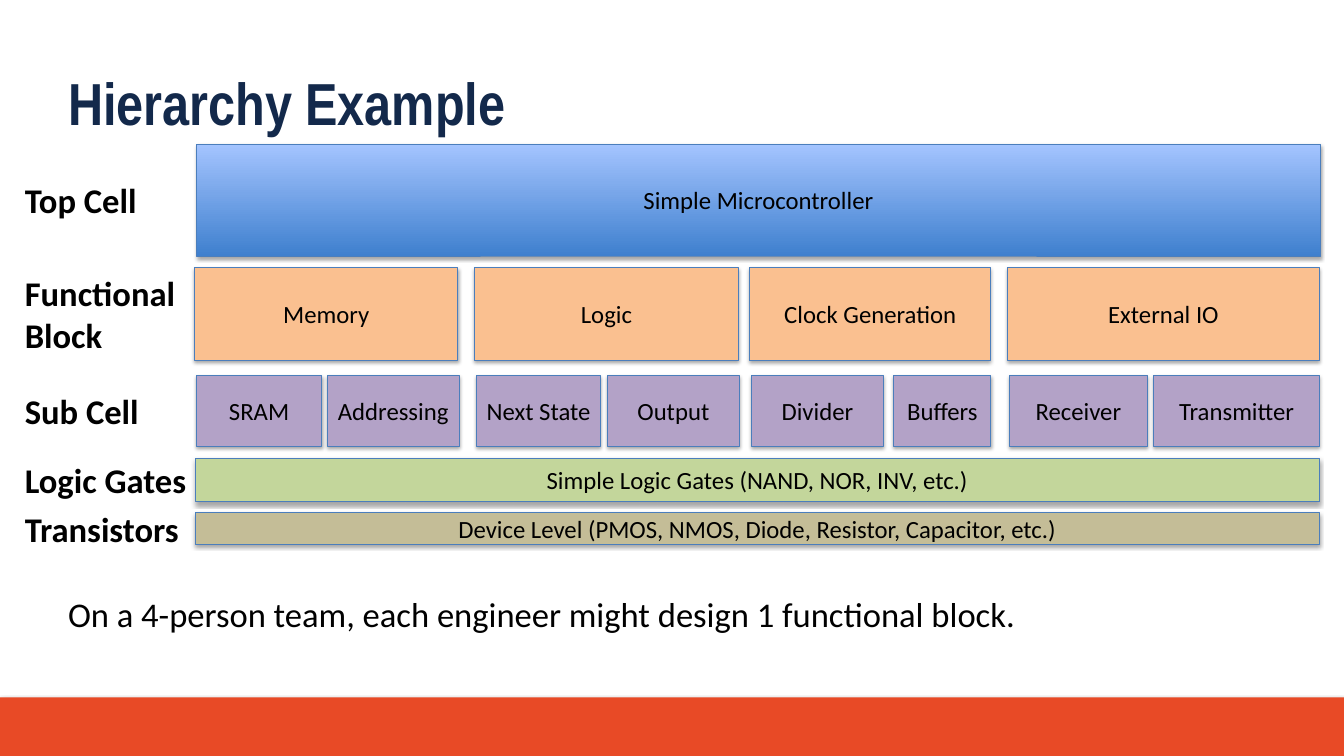
from lxml.etree import SubElement
from pptx import Presentation
from pptx.dml.color import RGBColor
from pptx.enum.shapes import MSO_SHAPE
from pptx.enum.text import MSO_ANCHOR, PP_ALIGN
from pptx.oxml.ns import qn
from pptx.util import Pt

TITLE = "Hierarchy Example"
NOTE = "On a 4-person team, each engineer might design 1 functional block."

LEVELS = [
    ("Top Cell", "top", 116.6, 90.7, [("Simple Microcontroller", 159, 910)]),
    ("Functional Block", "block", 216.7, 74.9, [
        ("Memory", 157.7, 213), ("Logic", 384.5, 213),
        ("Clock Generation", 607, 195), ("External IO", 815.8, 252)]),
    ("Sub Cell", "sub", 303.8, 57.6, [
        ("SRAM", 159, 101.5), ("Addressing", 265, 106.6),
        ("Next State", 385.9, 100.2), ("Output", 491.8, 106.6),
        ("Divider", 608.4, 106.6), ("Buffers", 723.6, 78.5),
        ("Receiver", 817.2, 111.6), ("Transmitter", 933.8, 134.6)]),
    ("Logic Gates", "gates", 370.8, 35.3,
     [("Simple Logic Gates (NAND, NOR, INV, etc.)", 158, 910)]),
    ("Transistors", "devices", 414.7, 25.9,
     [("Device Level (PMOS, NMOS, Diode, Resistor, Capacitor, etc.)", 158, 910)]),
]

THEME = {
    "fills": {
        "top": ("3F80CE", "A4C4FF"),
        "block": ("FAC090",),
        "sub": ("B3A2C7",),
        "gates": ("C3D69B",),
        "devices": ("C4BD97",),
        "footer": ("E84A26",),
    },
    "line": "4B7EBC",
    "title": {"name": "Arial Narrow", "size": Pt(48), "bold": True, "color": "13294B"},
    "label": {"name": "Calibri", "size": Pt(28), "bold": True, "color": "000000"},
    "note": {"name": "Calibri", "size": Pt(28), "bold": False, "color": "000000"},
    "cell": {"name": "Calibri", "size": Pt(20), "bold": False, "color": "000000"},
}

SLIDE_WIDTH, SLIDE_HEIGHT = 1088, 612
FOOTER_HEIGHT = 47.5
LABEL_LEFT, LABEL_WIDTH = 13, 146


def write(shape, text, style, anchor, alignment=PP_ALIGN.LEFT):
    frame = shape.text_frame
    for name, value in {"word_wrap": True, "vertical_anchor": anchor}.items():
        setattr(frame, name, value)
    paragraph = frame.paragraphs[0]
    paragraph.text = text
    paragraph.alignment = alignment
    for name, value in THEME[style].items():
        if name == "color":
            paragraph.font.color.rgb = RGBColor.from_string(value)
        else:
            setattr(paragraph.font, name, value)


def add_text(slide, box, text, style, anchor=MSO_ANCHOR.TOP):
    shape = slide.shapes.add_textbox(*map(Pt, box))
    write(shape, text, style, anchor)


def add_shadow(shape):
    shape.shadow.inherit = False
    effects = shape._element.spPr.find(qn("a:effectLst"))
    shadow = SubElement(effects, qn("a:outerShdw"), blurRad=str(Pt(3.1)),
                        dist=str(Pt(1.8)), dir="5400000", rotWithShape="0")
    color = SubElement(shadow, qn("a:srgbClr"), val="000000")
    SubElement(color, qn("a:alpha"), val="35000")


def add_block(slide, box, fill):
    shape = slide.shapes.add_shape(MSO_SHAPE.RECTANGLE, *map(Pt, box))
    colors = [RGBColor.from_string(value) for value in THEME["fills"][fill]]
    if len(colors) == 1:
        shape.fill.solid()
        shape.fill.fore_color.rgb = colors[0]
    else:
        shape.fill.gradient()
        shape.fill.gradient_angle = 90
        for stop, color in zip(shape.fill.gradient_stops, colors):
            stop.color.rgb = color
    shape.line.fill.background()
    add_shadow(shape)
    return shape


def add_cell(slide, box, fill, text):
    shape = add_block(slide, box, fill)
    shape.line.color.rgb = RGBColor.from_string(THEME["line"])
    shape.line.width = Pt(0.75)
    write(shape, text, "cell", MSO_ANCHOR.MIDDLE, PP_ALIGN.CENTER)


def main():
    presentation = Presentation()
    presentation.slide_width = Pt(SLIDE_WIDTH)
    presentation.slide_height = Pt(SLIDE_HEIGHT)
    slide = presentation.slides.add_slide(presentation.slide_layouts[6])

    footer_top = SLIDE_HEIGHT - FOOTER_HEIGHT
    add_block(slide, (0, footer_top, SLIDE_WIDTH, FOOTER_HEIGHT), "footer")
    add_text(slide, (48, 49.7, 994, 57), TITLE, "title")
    for label, fill, top, height, cells in LEVELS:
        for text, left, width in cells:
            add_cell(slide, (left, top, width, height), fill, text)
        label_height = 75 if label == "Functional Block" else 41
        label_top = top + (height - label_height) / 2
        add_text(slide, (LABEL_LEFT, label_top, LABEL_WIDTH, label_height),
                 label, "label", MSO_ANCHOR.MIDDLE)
    add_text(slide, (48, 476.6, 954, 41), NOTE, "note")
    presentation.save("out.pptx")


if __name__ == "__main__":
    main()
